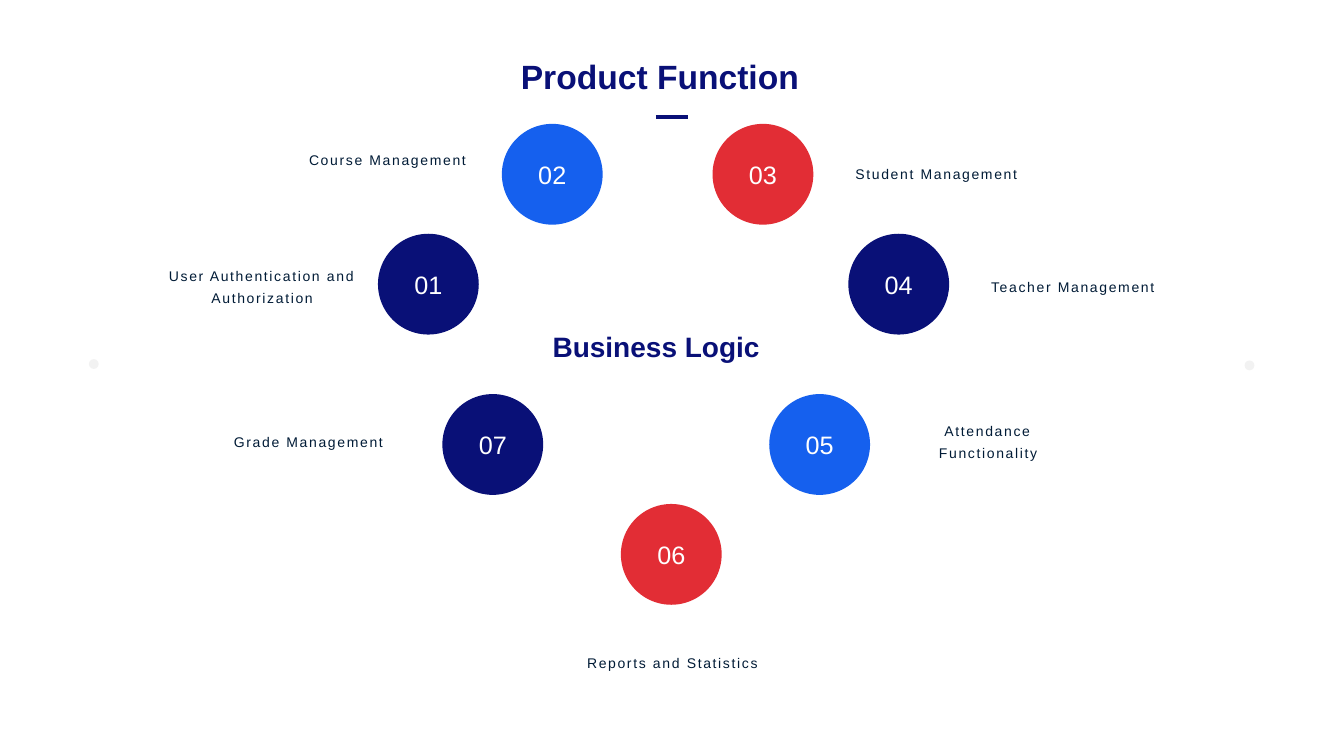
from pptx import Presentation
from pptx.dml.color import RGBColor
from pptx.enum import shapes, text
from pptx.oxml.ns import qn
from pptx.util import Pt

NAVY, BLUE, RED = "091077", "1560EE", "E22D35"
WHITE, INK, PALE = "FFFFFF", "001B36", "F2F2F2"
CIRCLE = 72
MIDDLE, TOP = text.MSO_ANCHOR.MIDDLE, text.MSO_ANCHOR.TOP
CENTER, LEFT = text.PP_ALIGN.CENTER, text.PP_ALIGN.LEFT

# number, circle colour, circle left and top
CIRCLES = [
    ("01", NAVY, 270, 167),
    ("02", BLUE, 358.5, 88.5),
    ("03", RED, 509, 88.5),
    ("04", NAVY, 606, 167),
    ("05", BLUE, 549.5, 281.5),
    ("06", RED, 443.5, 360),
    ("07", NAVY, 316, 281.5),
]

# wording, left, top, width, height, anchor
LABELS = [
    ("User Authentication and Authorization", 113, 178.5, 148.5, 49, MIDDLE),
    ("Course Management", 208, 101, 137.5, 23, TOP),
    ("Student Management", 594.5, 101, 148.5, 43, MIDDLE),
    ("Teacher Management", 697.5, 191.5, 137.5, 23, TOP),
    ("Attendance Functionality", 631.5, 289.5, 148.5, 49, MIDDLE),
    ("Reports and Statistics", 406, 447, 148.5, 49, MIDDLE),
    ("Grade Management", 146, 289.5, 148.5, 49, MIDDLE),
]


def color(value):
    return RGBColor.from_string(value)


def write(shape, words, size, ink, bold=False, align=CENTER, anchor=MIDDLE):
    frame = shape.text_frame
    frame.word_wrap = True
    frame.vertical_anchor = anchor
    para = frame.paragraphs[0]
    para.text = words
    para.alignment = align
    para.font.name = "Arial"
    para.font.size = Pt(size)
    para.font.bold = bold
    para.font.color.rgb = color(ink)
    return para


def add_text(page, words, left, top, width, height, size, ink, **style):
    box = page.shapes.add_textbox(Pt(left), Pt(top), Pt(width), Pt(height))
    return write(box, words, size, ink, **style)


def add_label(page, words, left, top, width, height, anchor):
    para = add_text(page, words, left, top, width, height, 10, INK, anchor=anchor)
    para.line_spacing = 1.3
    # Letter spacing in hundredths of a point
    para.runs[0].font._element.set("spc", "120")


def add_circle(page, left, top, size, fill):
    circle = page.shapes.add_shape(
        shapes.MSO_SHAPE.OVAL, Pt(left), Pt(top), Pt(size), Pt(size))
    circle.shadow.inherit = False
    circle.fill.solid()
    circle.fill.fore_color.rgb = color(fill)
    circle.line.fill.background()
    return circle


def add_rule(page, left, right, y):
    rule = page.shapes.add_connector(
        shapes.MSO_CONNECTOR.STRAIGHT, Pt(left), Pt(y), Pt(right), Pt(y))
    rule.line.color.rgb = color(NAVY)
    rule.line.width = Pt(2.5)
    properties = rule._element.spPr
    properties.append(properties.makeelement(qn("a:effectLst"), {}))


def main():
    deck = Presentation()
    deck.slide_width, deck.slide_height = Pt(960), Pt(540)
    page = deck.slides.add_slide(deck.slide_layouts[6])

    # Headings
    add_text(page, "Product Function", 365, 36.5, 230, 36, 24, NAVY,
             bold=True, align=LEFT, anchor=TOP)
    add_rule(page, 468.5, 491.5, 83.5)
    add_text(page, "Business Logic", 260, 226, 417.5, 42.5, 20, NAVY, bold=True)

    # Side dots
    add_circle(page, 63.5, 256.5, 7, PALE)
    add_circle(page, 889, 257.5, 7, PALE)

    # Ring of functions
    for number, fill, left, top in CIRCLES:
        write(add_circle(page, left, top, CIRCLE, fill), number, 18, WHITE)
    for label in LABELS:
        add_label(page, *label)

    deck.save("out.pptx")


main()
